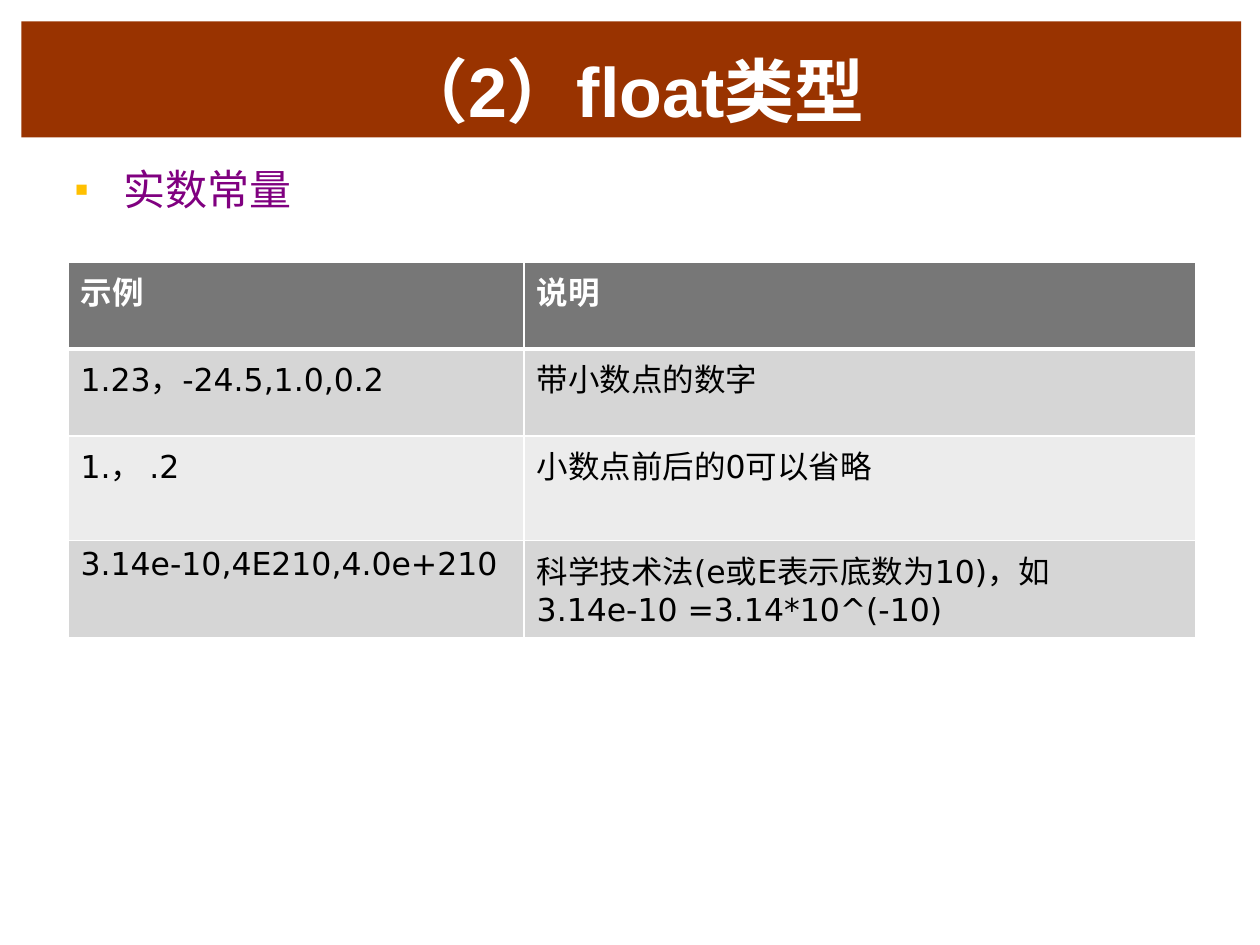
from dataclasses import dataclass

from lxml import etree
from pptx import Presentation
from pptx.dml.color import RGBColor
from pptx.enum.shapes import MSO_SHAPE
from pptx.enum.text import MSO_ANCHOR, MSO_AUTO_SIZE, PP_ALIGN
from pptx.oxml.ns import qn
from pptx.util import Inches, Pt

RECTANGLE = MSO_SHAPE.RECTANGLE
BOTTOM = MSO_ANCHOR.BOTTOM
FIT_SHAPE = MSO_AUTO_SIZE.SHAPE_TO_FIT_TEXT
CENTER, LEFT = PP_ALIGN.CENTER, PP_ALIGN.LEFT

COLORS = {
    "banner": "993300",
    "white": "FFFFFF",
    "black": "000000",
    "topic": "800080",
    "bullet": "FFC000",
    "header": "777777",
    "dark_band": "D6D6D6",
    "light_band": "ECECEC",
}
CJK_FONT = "Noto Sans CJK JP"
COLUMN_WIDTHS = (3.62, 5.33)


@dataclass(frozen=True)
class TableRow:
    """One row of the constants table."""

    example: str
    meaning: str
    height: float
    fill: str
    header: bool = False
    top_line: float = 1
    bottom_line: float = 1


ROWS = (
    TableRow("示例", "说明", 0.69, "header", header=True, bottom_line=3),
    TableRow("1.23，-24.5,1.0,0.2", "带小数点的数字", 0.69, "dark_band", top_line=3),
    TableRow("1.， .2", "小数点前后的0可以省略", 0.83, "light_band"),
    TableRow(
        "3.14e-10,4E210,4.0e+210",
        "科学技术法(e或E表示底数为10)，如3.14e-10 =3.14*10^(-10)",
        0.77,
        "dark_band",
    ),
)


def color(name: str) -> RGBColor:
    """Look up a named colour."""
    return RGBColor.from_string(COLORS[name])


def write_text(frame, text: str, *, size: float, font: str, fill: str,
               bold: bool = False, align=LEFT):
    """Write formatted text in the first paragraph of a frame and return it."""
    frame.word_wrap = True
    para = frame.paragraphs[0]
    para.alignment = align
    span = para.add_run()
    span.text = text
    span.font.size = Pt(size)
    span.font.name = font
    span.font.bold = bold
    span.font.color.rgb = color(fill)
    etree.SubElement(span.font._element, qn("a:ea"), typeface=CJK_FONT)
    return para


def add_bullet(para, character: str, fill: str, percent: int, indent: float) -> None:
    """Give a paragraph a coloured bullet with a hanging indent."""
    properties = para._p.get_or_add_pPr()
    properties.set("marL", str(Inches(indent)))
    properties.set("indent", str(-Inches(indent)))
    bullet_color = etree.SubElement(properties, qn("a:buClr"))
    etree.SubElement(bullet_color, qn("a:srgbClr"), val=COLORS[fill])
    etree.SubElement(properties, qn("a:buSzPct"), val=str(percent * 1000))
    etree.SubElement(properties, qn("a:buFont"), typeface="Arial")
    etree.SubElement(properties, qn("a:buChar"), char=character)


def add_borders(cell, row: TableRow) -> None:
    """Draw white lines on the four sides of a cell."""
    widths = {"lnL": 1, "lnR": 1, "lnT": row.top_line, "lnB": row.bottom_line}
    properties = cell._tc.get_or_add_tcPr()
    for side, width in widths.items():
        line = etree.SubElement(properties, qn(f"a:{side}"), w=str(Pt(width)))
        fill = etree.SubElement(line, qn("a:solidFill"))
        etree.SubElement(fill, qn("a:srgbClr"), val=COLORS["white"])


def add_banner(slide, title: str) -> None:
    """Add the title banner."""
    banner = slide.shapes.add_shape(
        RECTANGLE, Inches(0.17), Inches(0.17), Inches(9.68), Inches(0.92))
    banner.shadow.inherit = False
    banner.fill.solid()
    banner.fill.fore_color.rgb = color("banner")
    banner.line.fill.background()
    banner.text_frame.vertical_anchor = BOTTOM
    write_text(banner.text_frame, title, size=40, font="Arial", fill="white",
               bold=True, align=CENTER)


def add_topic(slide, text: str) -> None:
    """Add the bulleted topic line."""
    box = slide.shapes.add_textbox(Inches(0.5), Inches(1.25), Inches(9), Inches(0.51))
    para = write_text(box.text_frame, text, size=24, font=CJK_FONT, fill="topic")
    box.text_frame.auto_size = FIT_SHAPE
    add_bullet(para, "■", "bullet", 50, 0.38)


def add_constants_table(slide) -> None:
    """Add the table of real constants."""
    frame = slide.shapes.add_table(
        len(ROWS), len(COLUMN_WIDTHS), Inches(0.54), Inches(2.08),
        Inches(sum(COLUMN_WIDTHS)), Inches(sum(row.height for row in ROWS)))
    table = frame.table
    for column, width in zip(table.columns, COLUMN_WIDTHS):
        column.width = Inches(width)
    for table_row, row in zip(table.rows, ROWS):
        table_row.height = Inches(row.height)
        for cell, text in zip(table_row.cells, (row.example, row.meaning)):
            add_borders(cell, row)
            cell.fill.solid()
            cell.fill.fore_color.rgb = color(row.fill)
            write_text(cell.text_frame, text, size=18, font="DejaVu Sans",
                       fill="white" if row.header else "black", bold=row.header)


def main() -> None:
    """Build and save the deck."""
    deck = Presentation()
    deck.slide_width, deck.slide_height = Inches(10), Inches(7.5)
    page = deck.slides.add_slide(deck.slide_layouts[6])
    add_banner(page, "（2）float类型")
    add_topic(page, "实数常量")
    add_constants_table(page)
    deck.save("out.pptx")


if __name__ == "__main__":
    main()
